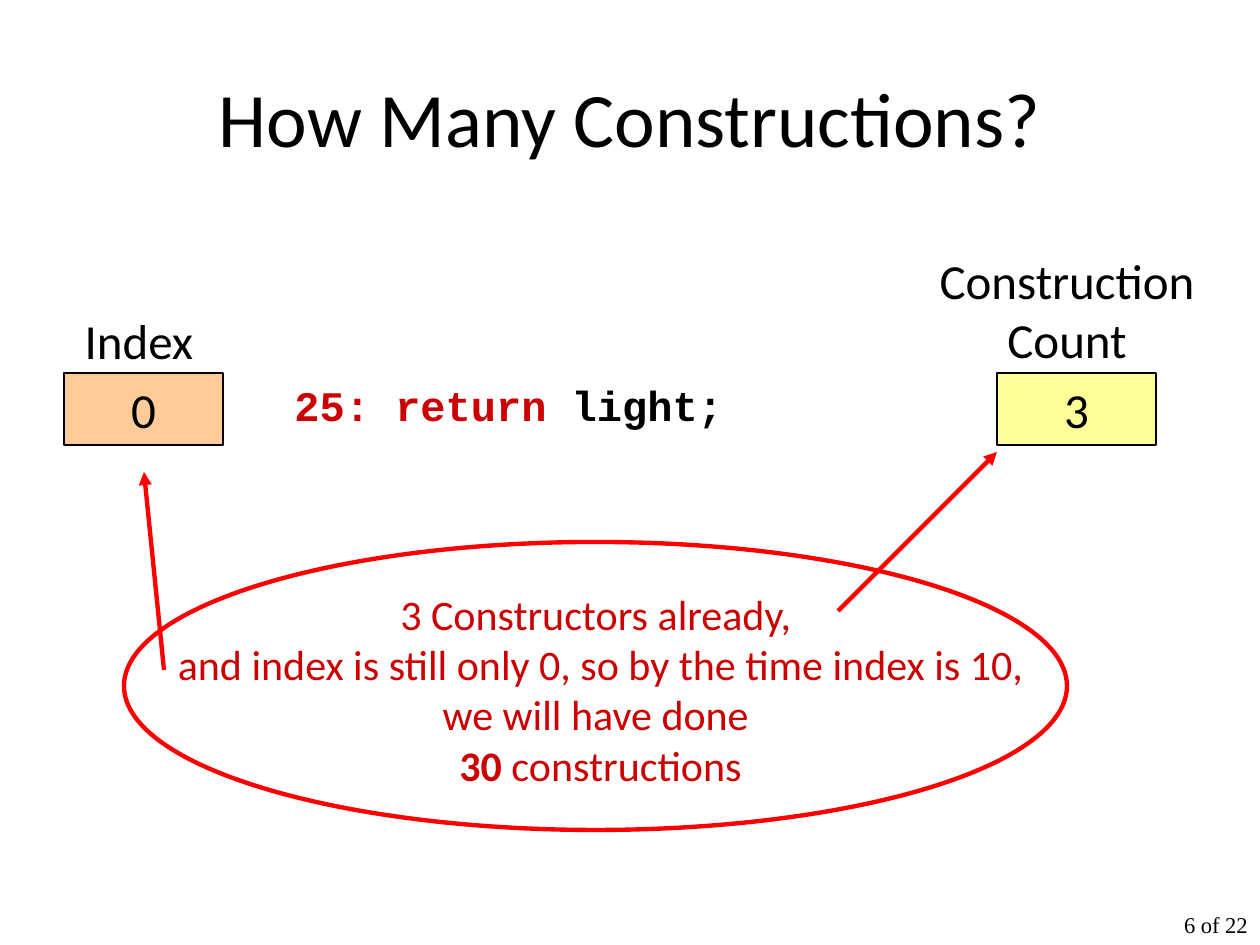
from dataclasses import dataclass
from lxml import etree
from pptx import Presentation
from pptx.dml.color import RGBColor
from pptx.enum.shapes import MSO_CONNECTOR, MSO_SHAPE
from pptx.enum.text import MSO_ANCHOR, PP_ALIGN
from pptx.oxml.ns import qn
from pptx.util import Emu, Pt

LEFT, MID, RIGHT = PP_ALIGN.LEFT, PP_ALIGN.CENTER, PP_ALIGN.RIGHT
TOP, CENTER = MSO_ANCHOR.TOP, MSO_ANCHOR.MIDDLE
RECT, OVAL = MSO_SHAPE.RECTANGLE, MSO_SHAPE.OVAL
LINE = MSO_CONNECTOR.STRAIGHT
SCALE = 914400 / 126


@dataclass(frozen=True)
class Theme:
    ink: str = "000000"
    note: str = "CC0000"
    mark: str = "FF0000"
    peach: str = "FFCC99"
    lemon: str = "FFFF99"
    sans: str = "Calibri"
    mono: str = "Courier New"
    serif: str = "Times New Roman"
    title: float = 44
    label: float = 28
    body: float = 24
    foot: float = 12.9
    thin: float = 0.75
    thick: float = 2.5


THEME = Theme()


def px(*sizes):
    return [Emu(round(size * SCALE)) for size in sizes]


def color(code):
    return RGBColor.from_string(code)


def write(shape, rows, size, font=THEME.sans, align=MID, anchor=TOP, space=1.0):
    frame = shape.text_frame
    frame.word_wrap = True
    frame.vertical_anchor = anchor
    for num, row in enumerate(rows):
        para = frame.paragraphs[0] if num == 0 else frame.add_paragraph()
        para.alignment = align
        para.line_spacing = space
        for text, tint, bold in row:
            run = para.add_run()
            run.text = text
            run.font.name = font
            run.font.size = Pt(size)
            run.font.bold = bold
            run.font.color.rgb = color(tint)


def add_text(slide, box, rows, size, **style):
    write(slide.shapes.add_textbox(*px(*box)), rows, size, **style)


def add_form(slide, kind, box, edge, width, fill=None):
    shape = slide.shapes.add_shape(kind, *px(*box))
    shape.shadow.inherit = False
    if fill:
        shape.fill.solid()
        shape.fill.fore_color.rgb = color(fill)
    else:
        shape.fill.background()
    shape.line.color.rgb = color(edge)
    shape.line.width = Pt(width)
    return shape


def add_count(slide, left, text, fill):
    shape = add_form(slide, RECT, (left, 373, 159, 72), THEME.ink, THEME.thin, fill)
    write(shape, [[(text, THEME.ink, False)]], THEME.label)


def add_arrow(slide, start, end):
    arrow = slide.shapes.add_connector(LINE, *px(*start, *end))
    arrow.line.color.rgb = color(THEME.mark)
    arrow.line.width = Pt(THEME.thick)
    etree.SubElement(arrow.line._get_or_add_ln(), qn("a:tailEnd"), type="triangle")
    etree.SubElement(arrow._element.spPr, qn("a:effectLst"))


def main():
    deck = Presentation()
    deck.slide_width, deck.slide_height = px(1260, 945)
    slide = deck.slides.add_slide(deck.slide_layouts[6])
    ink, note = THEME.ink, THEME.note

    add_text(slide, (63, 38, 1134, 157), [[("How Many Constructions?", ink, False)]],
             THEME.title, anchor=CENTER)
    add_text(slide, (1126, 910, 134, 35), [[("6 of 22", ink, False)]],
             THEME.foot, font=THEME.serif, align=RIGHT, space=0.8)

    add_text(slide, (25, 304, 228, 72), [[("Index", ink, False)]], THEME.label)
    add_count(slide, 64, "0", THEME.peach)
    add_text(slide, (888, 244, 358, 131), [[("Construction Count", ink, False)]],
             THEME.label)
    add_count(slide, 997, "3", THEME.lemon)

    add_text(slide, (282, 373, 684, 63),
             [[("25: return ", note, True), ("light;", ink, True)]],
             THEME.body, font=THEME.mono, align=LEFT)

    add_form(slide, OVAL, (124, 542, 943, 288), THEME.mark, THEME.thick)
    add_text(slide, (164, 582, 873, 214), [
        [("3 Constructors already, ", note, False)],
        [("and index is still only 0, so by the time index is 10, "
          "we will have done ", note, False)],
        [("30", note, True), (" constructions", note, False)],
    ], THEME.body)
    add_arrow(slide, (838, 611), (997, 452))
    add_arrow(slide, (164, 670), (144, 472))

    deck.save("out.pptx")


if __name__ == "__main__":
    main()
